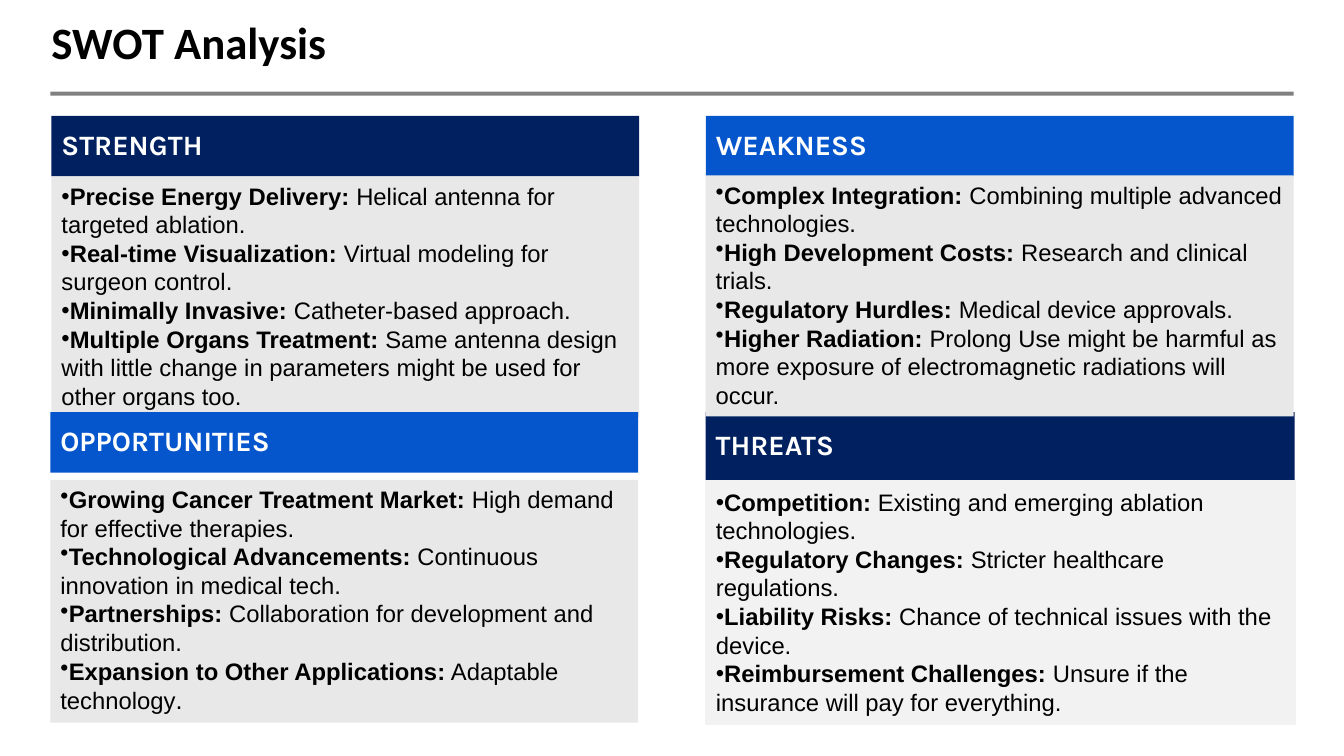
from lxml import etree
from pptx import Presentation
from pptx.dml.color import RGBColor
from pptx.enum.shapes import MSO_SHAPE as Preset
from pptx.enum.text import MSO_ANCHOR as Anchor, MSO_AUTO_SIZE as AutoSize, PP_ALIGN as Align
from pptx.oxml.ns import qn
from pptx.util import Inches, Pt

NAVY = RGBColor(0x00, 0x20, 0x60)
BLUE = RGBColor(0x05, 0x56, 0xCD)
PANEL_GRAY = RGBColor(0xE8, 0xE8, 0xE8)
PALE_GRAY = RGBColor(0xF2, 0xF2, 0xF2)
RULE_GRAY = RGBColor(0x80, 0x80, 0x80)
BLACK = RGBColor(0x00, 0x00, 0x00)
WHITE = RGBColor(0xFF, 0xFF, 0xFF)


def make_box(place, color, placeholder=None, anchor=Anchor.MIDDLE):
    """Place a filled box, using a layout placeholder when its number is given."""
    left, top, width, height = [Inches(length) for length in place]
    if placeholder is None:
        box = slide.shapes.add_shape(Preset.RECTANGLE, left, top, width, height)
        box.shadow.inherit = False
    else:
        box = slide.placeholders[placeholder]
        box.left, box.top, box.width, box.height = left, top, width, height
    box.fill.solid()
    box.fill.fore_color.rgb = color
    box.line.fill.background()
    frame = box.text_frame
    frame.word_wrap = True
    frame.auto_size = AutoSize.NONE
    frame.vertical_anchor = anchor
    return box


def add_run(paragraph, text, font, size, color, bold):
    run = paragraph.add_run()
    run.text = text
    run.font.name = font
    run.font.size = Pt(size)
    run.font.color.rgb = color
    run.font.bold = bold


prs = Presentation()
prs.slide_width, prs.slide_height = Inches(13.33), Inches(7.5)
slide = prs.slides.add_slide(prs.slide_layouts.get_by_name("Comparison"))

# Title and rule
make_box((0.5, 0.91, 12.33, 0.04), RULE_GRAY)
title = slide.shapes.title
title.left, title.top, title.width, title.height = map(Inches, (0.51, 0.14, 12.33, 0.6))
title_frame = title.text_frame
title_frame.margin_left = title_frame.margin_right = 0
title_frame.vertical_anchor = Anchor.BOTTOM
title_frame.auto_size = AutoSize.NONE
title_line = title_frame.paragraphs[0]
title_line.alignment = Align.LEFT
title_line.line_spacing = 0.9
add_run(title_line, "SWOT Analysis", "Calibri", 32, BLACK, True)

# Lists: place, fill, placeholder, anchor, points
lists = [
    ((7, 4.76, 5.84, 2.42), PALE_GRAY, 4, Anchor.MIDDLE, [
        ("Competition:", " Existing and emerging ablation technologies."),
        ("Regulatory Changes:", " Stricter healthcare regulations."),
        ("Liability Risks:", " Chance of technical issues with the device."),
        ("Reimbursement Challenges:", " Unsure if the insurance will pay for everything."),
    ]),
    ((0.51, 1.75, 5.83, 2.39), PANEL_GRAY, 2, Anchor.TOP, [
        ("Precise Energy Delivery:", " Helical antenna for targeted ablation."),
        ("Real-time Visualization:", " Virtual modeling for surgeon control."),
        ("Minimally Invasive:", " Catheter-based approach."),
        ("Multiple Organs Treatment:", " Same antenna design with little change in "
                                       "parameters might be used for other organs too."),
    ]),
    ((7, 1.74, 5.83, 2.39), PANEL_GRAY, None, Anchor.TOP, [
        ("Complex Integration:", " Combining multiple advanced technologies."),
        ("High Development Costs:", " Research and clinical trials."),
        ("Regulatory Hurdles:", " Medical device approvals."),
        ("Higher Radiation:", " Prolong Use might be harmful as more exposure of "
                              "electromagnetic radiations will occur."),
    ]),
    ((0.5, 4.76, 5.83, 2.41), PANEL_GRAY, None, Anchor.TOP, [
        ("Growing Cancer Treatment Market:", " High demand for effective therapies."),
        ("Technological Advancements:", " Continuous innovation in medical tech."),
        ("Partnerships:", " Collaboration for development and distribution."),
        ("Expansion to Other Applications:", " Adaptable technology"),
    ]),
]

# Headings; THREATS comes before the lists so that the weakness list overlaps it
headings = [
    ("STRENGTH", (0.51, 1.15, 5.83, 0.6), NAVY, 1),
    ("WEAKNESS", (7, 1.15, 5.83, 0.6), BLUE, 3),
    ("THREATS", (7, 4.09, 5.84, 0.67), NAVY, None),
    ("OPPORTUNITIES", (0.5, 4.09, 5.83, 0.6), BLUE, None),
]


for heading, place, color, placeholder in headings[:3]:
    heading_line = make_box(place, color, placeholder).text_frame.paragraphs[0]
    heading_line.alignment = Align.LEFT
    heading_line.line_spacing = 0.9
    heading_line.space_before = Pt(10)
    add_run(heading_line, heading, "Karla", 20, WHITE, True)

for place, color, placeholder, anchor, points in lists:
    panel = make_box(place, color, placeholder, anchor)
    if color == PALE_GRAY:
        panel.line.color.rgb = PALE_GRAY
        panel.line.width = Pt(1.5)
    frame = panel.text_frame
    for number, (term, detail) in enumerate(points):
        point = frame.add_paragraph() if number else frame.paragraphs[0]
        point.alignment = Align.LEFT
        point.space_before = Pt(0)
        properties = point._p.get_or_add_pPr()
        properties.set("marL", "0")
        properties.set("indent", "0")
        etree.SubElement(properties, qn("a:buChar")).set("char", "•")
        add_run(point, term, "Arial", 17, BLACK, True)
        add_run(point, detail, "Arial", 17, BLACK, False)
# The closing full stop of the opportunities list is slightly larger
add_run(point, ".", "Arial", 18, BLACK, False)

for heading, place, color, placeholder in headings[3:]:
    heading_line = make_box(place, color, placeholder).text_frame.paragraphs[0]
    heading_line.alignment = Align.LEFT
    heading_line.line_spacing = 0.9
    heading_line.space_before = Pt(10)
    add_run(heading_line, heading, "Karla", 20, WHITE, True)

prs.save("out.pptx")
